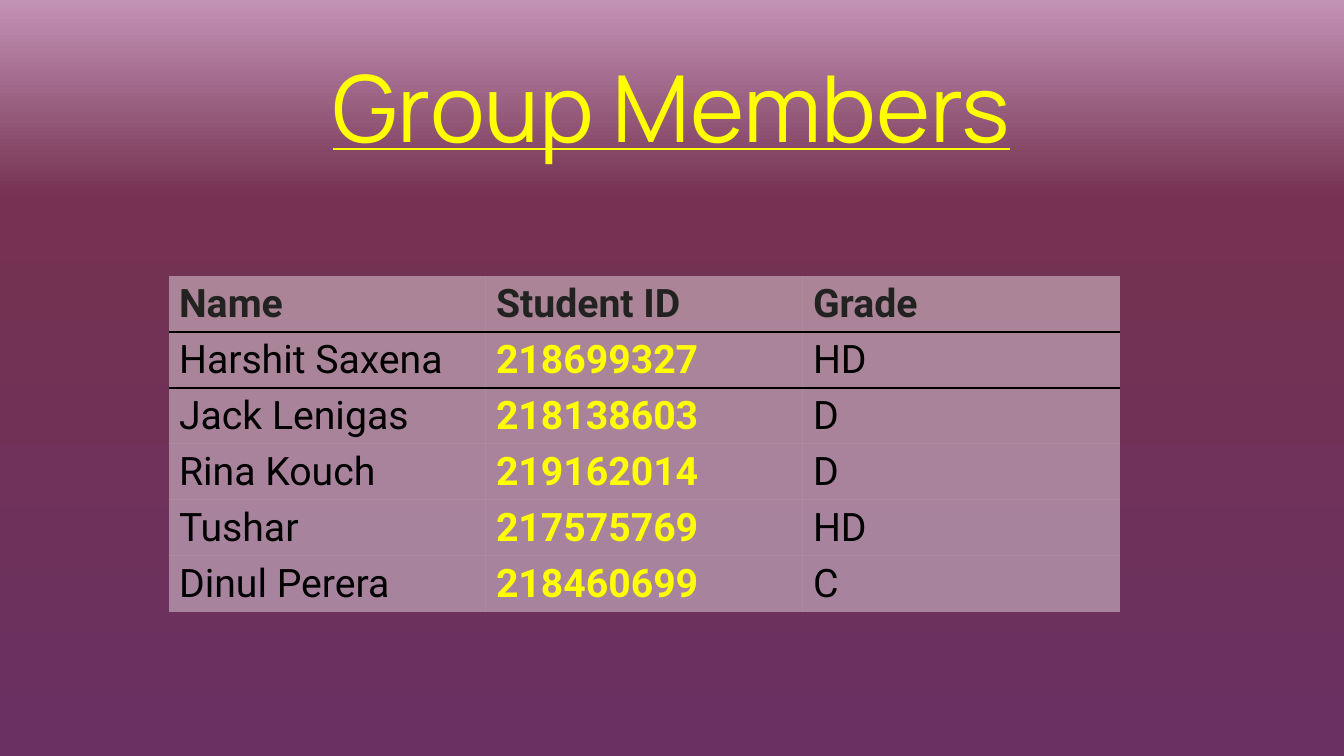
from lxml import etree
from pptx import Presentation
from pptx.dml.color import RGBColor
from pptx.enum.text import MSO_ANCHOR, PP_ALIGN
from pptx.oxml.ns import qn
from pptx.util import Pt

CENTER = PP_ALIGN.CENTER
MIDDLE = MSO_ANCHOR.MIDDLE
TITLE_ONLY = 5
PLAIN_TABLE = "{2D5ABB26-0587-4C30-8999-92F81FD0307C}"
WIDTH, HEIGHT = 1344, 756

MEMBERS = [
    ("Name", "Student ID", "Grade"),
    ("Harshit Saxena", "218699327", "HD"),
    ("Jack Lenigas", "218138603", "D"),
    ("Rina Kouch", "219162014", "D"),
    ("Tushar", "217575769", "HD"),
    ("Dinul Perera", "218460699", "C"),
]


def px(length):
    return round(length * 12192000 / WIDTH)


def color(value):
    return RGBColor.from_string(value)


class MembersSlide:
    """Holds the style and the slide, and draws each kind of element."""

    heading_font, body_font = "Manrope", "Roboto"
    accent, ink, header_ink, panel = "FFFF00", "000000", "222221", "FFFFFF"
    panel_alpha = 40000

    def __init__(self, deck):
        self.slide = deck.slides.add_slide(deck.slide_layouts[TITLE_ONLY])

    def background(self, stops):
        fill = self.slide.background.fill
        fill.gradient()
        fill.gradient_angle = 90
        stop_list = self.slide.background._cSld.find(".//" + qn("a:gsLst"))
        for old_stop in list(stop_list):
            stop_list.remove(old_stop)
        for position, value in stops:
            stop = etree.SubElement(stop_list, qn("a:gs"), pos=str(position * 1000))
            etree.SubElement(stop, qn("a:srgbClr"), val=value)

    def style(self, paragraph, font, size, value, bold=False):
        for run in paragraph.runs:
            run.font.name = font
            run.font.size = Pt(size)
            run.font.bold = bold
            run.font.color.rgb = color(value)

    def title(self, text, left, top, width, height):
        title = self.slide.shapes.title
        title.left, title.top = px(left), px(top)
        title.width, title.height = px(width), px(height)
        frame = title.text_frame
        frame.text = text
        frame.word_wrap = True
        frame.vertical_anchor = MIDDLE
        heading = frame.paragraphs[0]
        heading.alignment = CENTER
        heading.line_spacing = 0.9
        self.style(heading, self.heading_font, 66, self.accent)
        heading.runs[0].font.underline = True

    def rule(self, cell, edge):
        line = etree.Element(qn(edge), w=str(Pt(1)))
        fill = etree.SubElement(line, qn("a:solidFill"))
        etree.SubElement(fill, qn("a:srgbClr"), val=self.ink)
        cell._tc.get_or_add_tcPr().insert(0, line)

    def cell(self, cell, text, value, bold):
        cell.text = text
        self.style(cell.text_frame.paragraphs[0], self.body_font, 28, value, bold)
        cell.fill.solid()
        cell.fill.fore_color.rgb = color(self.panel)
        tint = cell._tc.tcPr.find(".//" + qn("a:srgbClr"))
        etree.SubElement(tint, qn("a:alpha"), val=str(self.panel_alpha))

    def table(self, records, left, top, column_width, row_height):
        rows, columns = len(records), len(records[0])
        table = self.slide.shapes.add_table(
            rows, columns, px(left), px(top),
            px(column_width * columns), px(row_height * rows)).table
        table.horz_banding = False
        table._tbl.tblPr.find(qn("a:tableStyleId")).text = PLAIN_TABLE
        for column in table.columns:
            column.width = px(column_width)
        for row, record in enumerate(records):
            table.rows[row].height = px(row_height)
            for column, text in enumerate(record):
                header, student_id = row == 0, column == 1
                value = self.header_ink if header else self.accent if student_id else self.ink
                cell = table.cell(row, column)
                self.cell(cell, text, value, header or student_id)
                if row < 2:
                    self.rule(cell, "a:lnB" if header else "a:lnT")


def main():
    deck = Presentation()
    deck.slide_width, deck.slide_height = px(WIDTH), px(HEIGHT)
    members = MembersSlide(deck)
    members.background([(0, "6A3062"), (74, "753251"), (100, "C393B6")])
    members.title("Group Members", 92, 40, 1159, 146)
    members.table(MEMBERS, 169, 276, 317, 56)
    deck.save("out.pptx")


if __name__ == "__main__":
    main()
